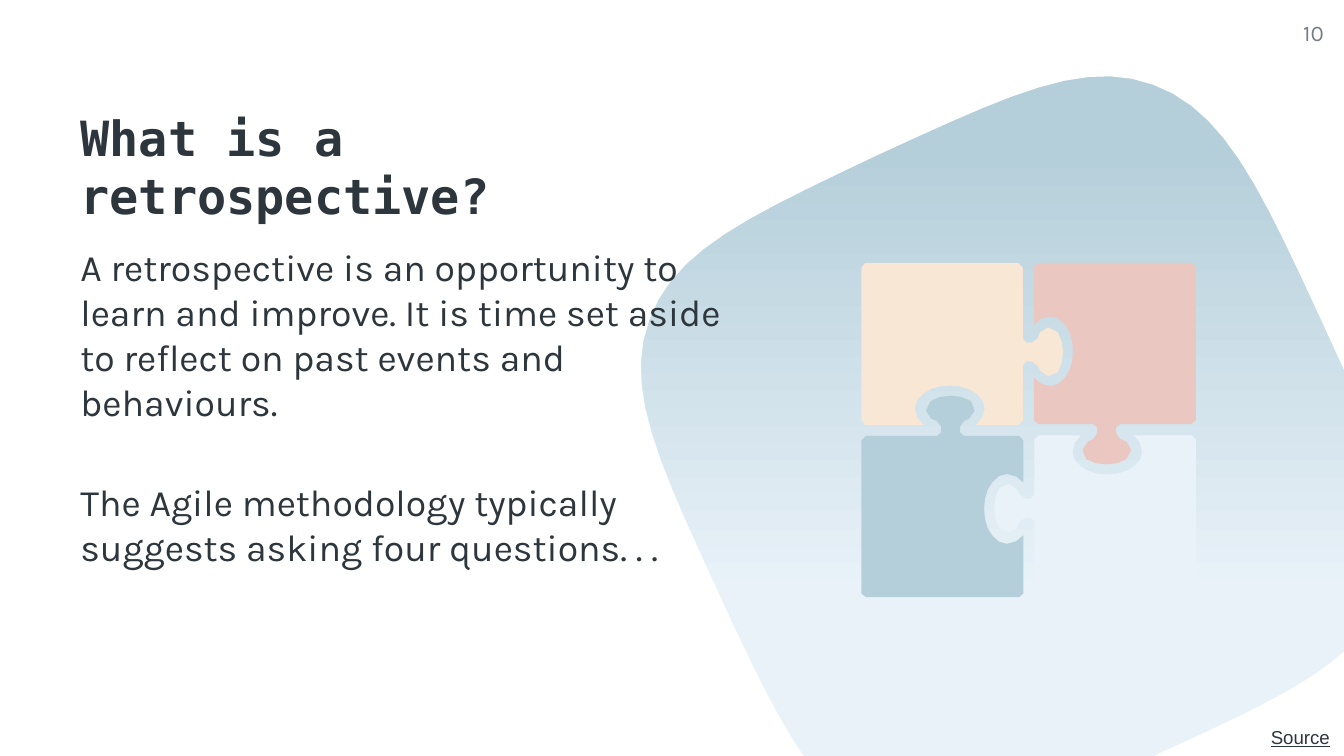
"""Build the slide that introduces retrospectives beside a four-piece puzzle."""
import dataclasses
import math
import typing

import pptx
import pptx.dml.color
import pptx.enum.text
import pptx.slide
import pptx.util

Cm = pptx.util.Cm
Pt = pptx.util.Pt
Align = pptx.enum.text.PP_ALIGN
Anchor = pptx.enum.text.MSO_ANCHOR
Point = typing.Tuple[float, float]
Segment = typing.List[Point]

COLORS = {
    "white": "FFFFFF",
    "ink": "2E363D",
    "grey": "767E85",
    "cream": "F8E7D5",
    "rose": "EBC7C1",
    "ice": "E9F2F9",
    "steel": "B5CFDA",
}
SLIDE_WIDTH, SLIDE_HEIGHT = 25.4, 14.29
CHORD_LENGTH = 0.2
MAX_CURVE_STEPS = 10
PUZZLE_CENTER = (19.44, 8.13)
PIECE_COLORS = ["cream", "rose", "ice", "steel"]

BLOB_SURROUND: typing.List[Segment] = [
    [(13.59, 11.23)],
    [(12.45, 8.74), (11.79, 7.37), (12.27, 6.05)],
    [(12.75, 4.72), (14.15, 4.09), (16.61, 2.92)],
    [(19.1, 1.78), (20.47, 1.12), (21.79, 1.6)],
    [(23.11, 2.08), (23.77, 3.45), (24.92, 5.94)],
    [(SLIDE_WIDTH, 6.99)],
    [(SLIDE_WIDTH, 0)],
    [(0, 0)],
    [(0, SLIDE_HEIGHT)],
    [(15.19, SLIDE_HEIGHT)],
    [(14.68, 13.56), (14.2, 12.55), (13.59, 11.23)],
]
BLOB_CORNER: typing.List[Segment] = [
    [(21.89, 14.25)],
    [(21.82, SLIDE_HEIGHT)],
    [(SLIDE_WIDTH, SLIDE_HEIGHT)],
    [(SLIDE_WIDTH, 12.32)],
    [(24.66, 12.98), (23.52, 13.51), (21.89, 14.25)],
]
PUZZLE_PIECE: typing.List[Segment] = [
    [(-1.99, -0.1)],
    [(-2.08, -0.18), (-2.15, -0.28), (-2.15, -0.41)],
    [(-2.15, -0.51), (-2.1, -0.61), (-1.99, -0.69)],
    [(-1.87, -0.79), (-1.69, -0.84), (-1.49, -0.84)],
    [(-1.29, -0.84), (-1.11, -0.79), (-0.99, -0.69)],
    [(-0.88, -0.61), (-0.83, -0.51), (-0.83, -0.41)],
    [(-0.83, -0.28), (-0.9, -0.18), (-0.99, -0.1)],
    [(-0.19, -0.1)],
    [(-0.11, -0.18)],
    [(-0.11, -1.22)],
    [(-0.04, -1.3)],
    [(0.04, -1.3), (0.11, -1.3), (0.17, -1.22)],
    [(0.22, -1.12)],
    [(0.29, -0.99), (0.44, -0.99), (0.55, -1.09)],
    [(0.62, -1.19), (0.65, -1.35), (0.65, -1.47)],
    [(0.65, -1.6), (0.62, -1.75), (0.55, -1.85)],
    [(0.44, -1.98), (0.29, -1.96), (0.22, -1.85)],
    [(0.17, -1.73)],
    [(0.11, -1.65), (0.04, -1.65), (-0.04, -1.65)],
    [(-0.11, -1.73)],
    [(-0.11, -3.07)],
    [(-0.19, -3.16)],
    [(-3.09, -3.16)],
    [(-3.16, -3.07)],
    [(-3.16, -0.18)],
    [(-3.09, -0.1)],
]


@dataclasses.dataclass
class TextBlock:
    """Text with its place in centimetres and its style."""

    paragraphs: typing.List[str]
    left: float
    top: float
    width: float
    height: float
    font: str
    size: int
    color: str = "ink"
    bold: bool = False
    underline: bool = False
    align: Align = Align.LEFT
    anchor: Anchor = Anchor.TOP
    inset: Point = (0, 0)
    gap: int = 0


TEXT_BLOCKS = [
    TextBlock(["What is a retrospective?"], 1.52, 2.04, 11.79, 2.2,
              "DejaVu Sans Mono", 26, bold=True, anchor=Anchor.BOTTOM),
    TextBlock(["A retrospective is an opportunity to learn and improve. "
               "It is time set aside to reflect on past events and behaviours.",
               "The Agile methodology typically suggests asking four questions. . ."],
              1.52, 4.62, 12.24, 7.01, "Karla", 20, gap=30),
    TextBlock(["10"], 23.5, 0.36, 1.52, 1.09, "Karla", 12, "grey", align=Align.RIGHT),
    TextBlock(["Source"], 18.62, 13.59, 6.76, 0.69, "Arial", 10,
              underline=True, align=Align.RIGHT, inset=(0.25, 0.13)),
]


def rgb(name: str) -> pptx.dml.color.RGBColor:
    """Return the named colour."""
    return pptx.dml.color.RGBColor.from_string(COLORS[name])


def flatten(segments: typing.List[Segment]) -> typing.List[Point]:
    """Turn lines and cubic curves into points, with more points on longer curves."""
    points = [segments[0][0]]
    for segment in segments[1:]:
        if len(segment) == 1:
            points.append(segment[0])
            continue
        controls = [points[-1], *segment]
        chord = math.dist(controls[0], controls[3])
        steps = min(MAX_CURVE_STEPS, math.ceil(chord / CHORD_LENGTH))
        for step in range(1, steps + 1):
            t = step / steps
            weights = [(1 - t) ** 3, 3 * t * (1 - t) ** 2, 3 * t ** 2 * (1 - t), t ** 3]
            x, y = (sum(w * c[axis] for w, c in zip(weights, controls)) for axis in (0, 1))
            points.append((x, y))
    return points


def draw_outline(slide: pptx.slide.Slide, points: typing.List[Point], color: str) -> None:
    """Draw a closed filled outline."""
    corners = [(Cm(x), Cm(y)) for x, y in points]
    builder = slide.shapes.build_freeform(*corners[0])
    builder.add_line_segments(corners[1:], close=True)
    shape = builder.convert_to_shape()
    shape.shadow.inherit = False
    shape.fill.solid()
    shape.fill.fore_color.rgb = rgb(color)
    shape.line.fill.background()


def draw_puzzle(slide: pptx.slide.Slide) -> None:
    """Draw one piece four times, a quarter turn apart."""
    points = flatten(PUZZLE_PIECE)
    for color in PIECE_COLORS:
        placed = [(PUZZLE_CENTER[0] + x, PUZZLE_CENTER[1] + y) for x, y in points]
        draw_outline(slide, placed, color)
        points = [(-y, x) for x, y in points]


def draw_text(slide: pptx.slide.Slide, block: TextBlock) -> None:
    """Draw a text block."""
    shape = slide.shapes.add_textbox(
        Cm(block.left), Cm(block.top), Cm(block.width), Cm(block.height))
    frame = shape.text_frame
    frame.word_wrap = True
    frame.vertical_anchor = block.anchor
    frame.margin_left = frame.margin_right = Cm(block.inset[0])
    frame.margin_top = frame.margin_bottom = Cm(block.inset[1])
    for index, text in enumerate(block.paragraphs):
        paragraph = frame.add_paragraph() if index else frame.paragraphs[0]
        paragraph.alignment = block.align
        paragraph.space_before = Pt(block.gap if index else 0)
        run = paragraph.add_run()
        run.text = text
        run.font.name = block.font
        run.font.size = Pt(block.size)
        run.font.bold = block.bold
        run.font.underline = block.underline
        run.font.color.rgb = rgb(block.color)


def paint_background(slide: pptx.slide.Slide) -> None:
    """Fill the background with a downward gradient."""
    fill = slide.background.fill
    fill.gradient()
    fill.gradient_angle = 270
    for stop, (position, color) in zip(fill.gradient_stops, [(0.2, "steel"), (0.79, "ice")]):
        stop.position = position
        stop.color.rgb = rgb(color)


def main() -> None:
    """Build and save the presentation."""
    presentation = pptx.Presentation()
    presentation.slide_width = Cm(SLIDE_WIDTH)
    presentation.slide_height = Cm(SLIDE_HEIGHT)
    slide = presentation.slides.add_slide(presentation.slide_layouts[6])
    paint_background(slide)
    for surround in (BLOB_SURROUND, BLOB_CORNER):
        draw_outline(slide, flatten(surround), "white")
    draw_puzzle(slide)
    for block in TEXT_BLOCKS:
        draw_text(slide, block)
    presentation.save("out.pptx")


if __name__ == "__main__":
    main()
